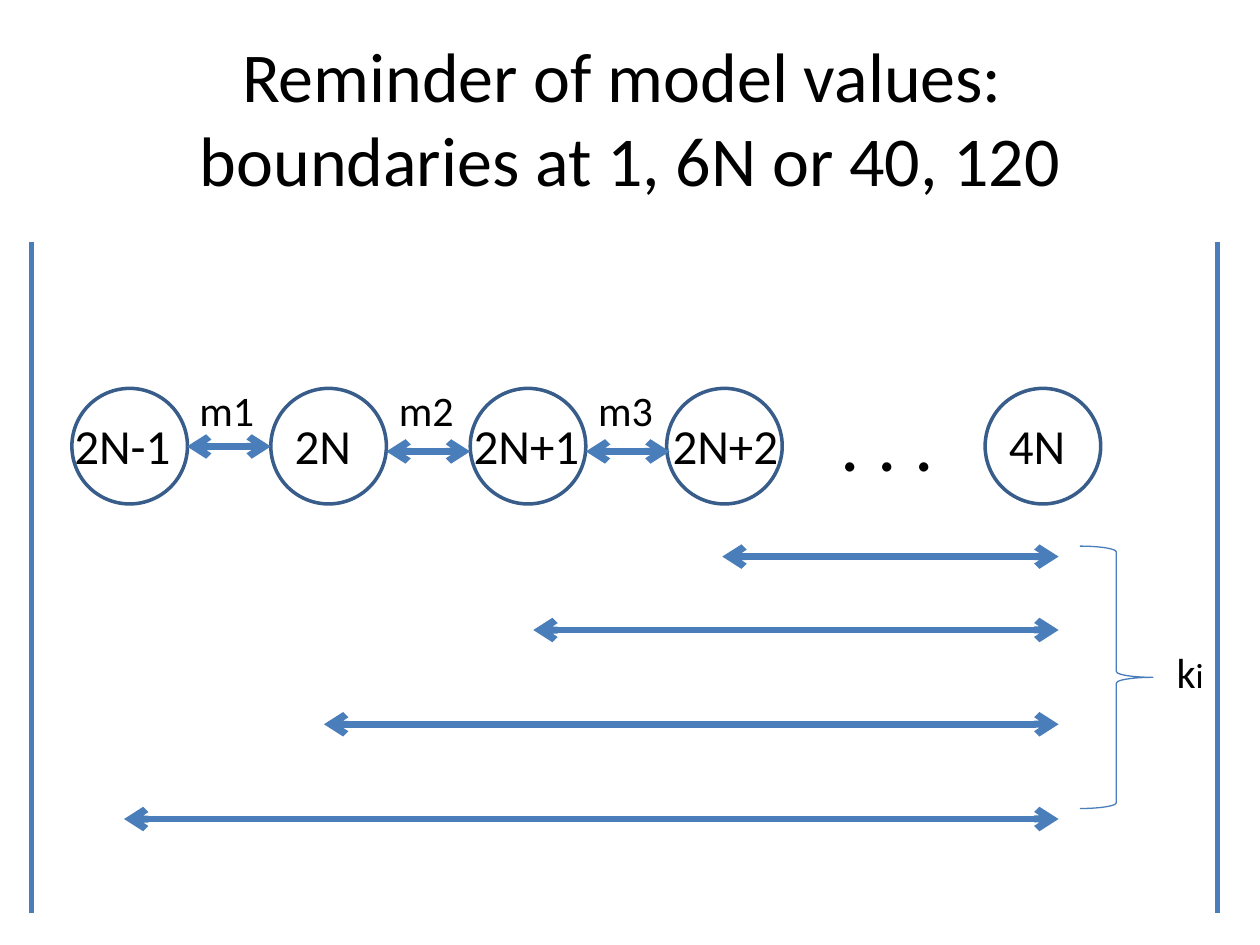
from lxml import etree
from pptx import Presentation
from pptx import util as u
from pptx.dml.color import RGBColor
from pptx.enum import shapes, text
from pptx.oxml.ns import qn

COLORS = {"text": "000000", "circle": "385D8A", "line": "4A7EBB"}
FONT = "Calibri"


def add_run(paragraph, content, size=24, color="text"):
    run = paragraph.add_run()
    run.text = content
    run.font.name = FONT
    run.font.size = u.Pt(size)
    run.font.color.rgb = RGBColor.from_string(COLORS[color])


class ModelSlide:
    def __init__(self, presentation):
        self.slide = presentation.slides.add_slide(presentation.slide_layouts[5])
        self.shapes = self.slide.shapes

    def title(self, lines, left, top, width, height):
        shape = self.shapes.title
        shape.left, shape.top = u.Cm(left), u.Cm(top)
        shape.width, shape.height = u.Cm(width), u.Cm(height)
        frame = shape.text_frame
        frame.vertical_anchor = text.MSO_ANCHOR.MIDDLE
        paragraph = frame.paragraphs[0]
        paragraph.alignment = text.PP_ALIGN.CENTER
        for index, line in enumerate(lines):
            if index:
                paragraph.add_line_break()
            add_run(paragraph, line, size=40)

    def label(self, runs, left, top, width, height):
        """Add a one-line text box from (text, size) pairs."""
        box = self.shapes.add_textbox(u.Cm(left), u.Cm(top), u.Cm(width), u.Cm(height))
        frame = box.text_frame
        frame.word_wrap = False
        frame.auto_size = text.MSO_AUTO_SIZE.SHAPE_TO_FIT_TEXT
        for content, size in runs:
            add_run(frame.paragraphs[0], content, size=size)

    def outline(self, kind, left, top, width, height, color, weight):
        shape = self.shapes.add_shape(kind, u.Cm(left), u.Cm(top), u.Cm(width), u.Cm(height))
        shape.shadow.inherit = False
        shape.fill.background()
        shape.line.color.rgb = RGBColor.from_string(COLORS[color])
        shape.line.width = u.Pt(weight)
        return shape

    def line(self, x1, y1, x2, y2, weight=4, arrows=True):
        connector = self.shapes.add_connector(
            shapes.MSO_CONNECTOR.STRAIGHT, u.Cm(x1), u.Cm(y1), u.Cm(x2), u.Cm(y2))
        connector.line.color.rgb = RGBColor.from_string(COLORS["line"])
        connector.line.width = u.Pt(weight)
        properties = connector._element.spPr
        if arrows:
            for end in ("a:headEnd", "a:tailEnd"):
                etree.SubElement(properties.find(qn("a:ln")), qn(end), type="arrow")
        etree.SubElement(properties, qn("a:effectLst"))


def main():
    presentation = Presentation()
    presentation.slide_width, presentation.slide_height = u.Cm(25.4), u.Cm(19.05)
    model = ModelSlide(presentation)
    model.title(["Reminder of model values: ", "boundaries at 1, 6N or 40, 120"],
                1.27, 0.76, 22.86, 3.18)

    # State, circle left, label left, label width
    states = [("2N-1", 1.45, 1.25, 2.46), ("2N", 5.46, 5.69, 1.67),
              ("2N+1", 9.48, 9.3, 2.66), ("2N+2", 13.44, 13.31, 2.66),
              ("4N", 19.86, 20.09, 1.67)]
    for name, circle_left, label_left, label_width in states:
        model.outline(shapes.MSO_SHAPE.OVAL, circle_left, 7.83, 2.33, 2.33, "circle", 2)
        model.label([(name, 28)], label_left, 8.26, label_width, 1.45)
    model.label([(". . .", 44)], 16.7, 7.82, 2.42, 2.13)

    for index, y in enumerate([9, 9.1, 9.1]):
        left = 3.77 + 4.02 * index
        model.line(left, y, left + 1.69, y)
        model.label([(f"m{index + 1}", 24)], left, 7.62, 1.7, 1.27)

    for start, y in [(14.56, 11.22), (10.75, 12.7), (6.53, 14.6), (2.5, 16.51)]:
        model.line(start, y, 21.34, y)

    brace = model.outline(shapes.MSO_SHAPE.RIGHT_BRACE, 21.77, 11.01, 1.47, 5.29, "line", 0.75)
    brace.adjustments[0] = 0.08
    model.label([("k", 24), ("i", 20)], 23.47, 12.9, 1.15, 1.27)

    for x in (0.64, 24.55):
        model.line(x, 4.87, x, 18.41, weight=3, arrows=False)

    presentation.save("out.pptx")


if __name__ == "__main__":
    main()
